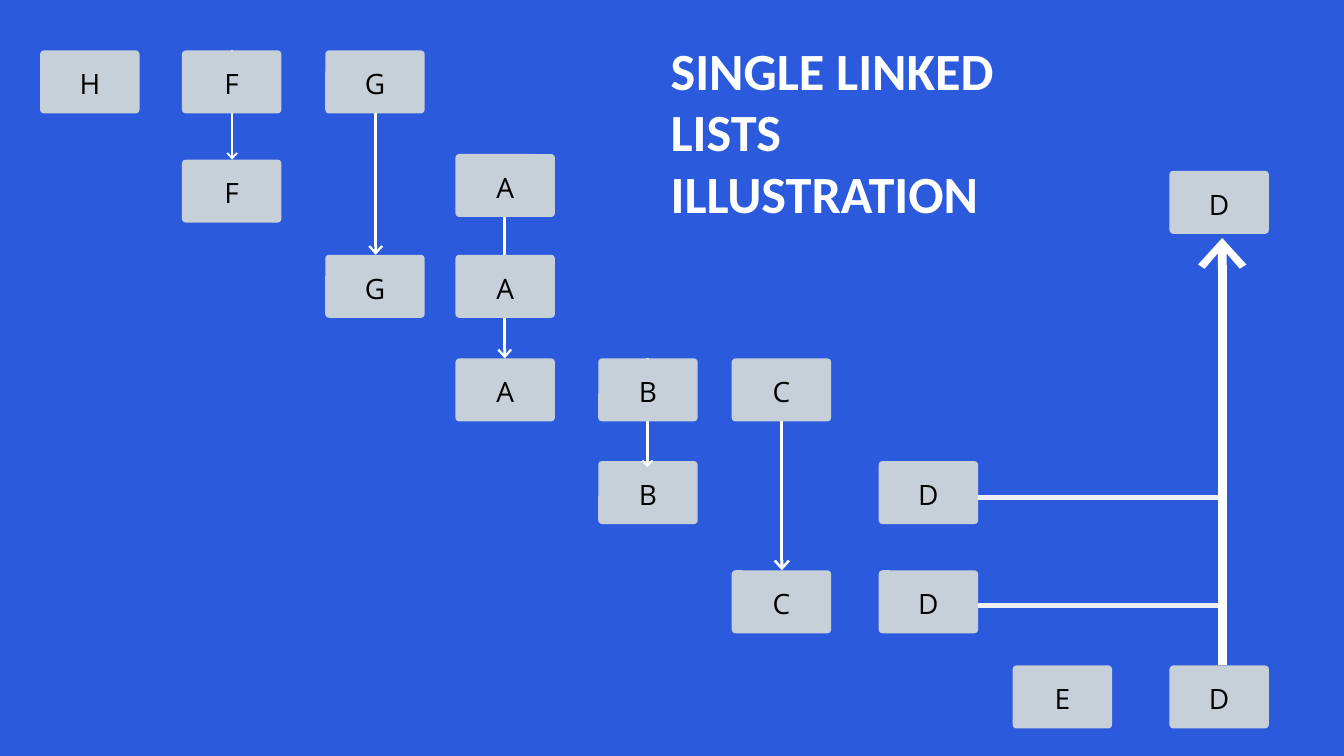
from lxml.etree import SubElement
from pptx import Presentation
from pptx.dml.color import RGBColor
from pptx.enum.shapes import MSO_CONNECTOR, MSO_SHAPE
from pptx.enum.text import MSO_ANCHOR, MSO_AUTO_SIZE, PP_ALIGN
from pptx.oxml.ns import qn
from pptx.util import Pt

TITLE = "SINGLE LINKED LISTS ILLUSTRATION"
COLORS = {
    "background": "2B5ADC",
    "node": "C7D0D8",
    "label": "000000",
    "arrow": "FFFFFF",
    "branch": "EFF0F2",
}
NODE_WIDTH, NODE_HEIGHT = 106.5, 67.5
COLUMNS = {"H": 43, "F": 195, "G": 348.5, "A": 488, "B": 641, "C": 784, "D": 941.5, "E": 1085, "tail": 1253}
ROWS = {"top": 54, "A": 165, "F": 171, "D": 183, "second": 273, "third": 384, "fourth": 494, "fifth": 611, "bottom": 713}
BACK_NODES = [
    ("H", "H", "top"), ("F", "F", "F"), ("G", "G", "top"), ("G", "G", "second"),
    ("A", "A", "A"), ("A", "A", "third"), ("B", "B", "fourth"),
    ("C", "C", "third"), ("C", "C", "fifth"), ("D", "D", "fourth"), ("D", "D", "fifth"),
    ("E", "E", "bottom"), ("D", "tail", "bottom"), ("D", "tail", "D"),
]
FRONT_NODES = [("F", "F", "top"), ("A", "A", "second"), ("B", "B", "third")]
RAIL_X = 1309.5
BRANCHES = [("D", "fourth", 533.25), ("D", "fifth", 648.5)]
ARROWS = [
    (248.75, 54, 171, 2.2),
    (402.5, 121.5, 273, 2.9),
    (540.75, 232.5, 384, 2.9),
    (693.75, 384, 500.5, 2.2),
    (837.75, 451.5, 611, 3.2),
    (RAIL_X, 713, 255, 9.4),
]


def rgb(name):
    return RGBColor.from_string(COLORS[name])


def add_text(para, text, font, size, color, spacing, bold=False):
    para.line_spacing = Pt(spacing)
    span = para.add_run()
    span.text = text
    span.font.name = font
    span.font.size = Pt(size)
    span.font.bold = bold
    span.font.color.rgb = rgb(color)


def add_node(page, label, column, row):
    box = page.shapes.add_shape(
        MSO_SHAPE.ROUNDED_RECTANGLE, Pt(COLUMNS[column]), Pt(ROWS[row]), Pt(NODE_WIDTH), Pt(NODE_HEIGHT)
    )
    box.adjustments[0] = 0.06
    box.shadow.inherit = False
    box.fill.solid()
    box.fill.fore_color.rgb = rgb("node")
    box.line.fill.background()
    frame = box.text_frame
    frame.margin_left = frame.margin_right = frame.margin_top = 0
    frame.margin_bottom = Pt(2.5)
    frame.vertical_anchor = MSO_ANCHOR.MIDDLE
    para = frame.paragraphs[0]
    para.alignment = PP_ALIGN.CENTER
    add_text(para, label, "Open Sans", 30, "label", 42)


def add_line(page, start, end, color, width, head=False):
    line = page.shapes.add_connector(MSO_CONNECTOR.STRAIGHT, *(Pt(value) for value in start + end))
    line.line.color.rgb = rgb(color)
    line.line.width = Pt(width)
    properties = line._element.spPr
    if head:
        stroke = properties.find(qn("a:ln"))
        SubElement(stroke, qn("a:round"))
        SubElement(stroke, qn("a:tailEnd"), type="arrow", w="lg", len="med")
    SubElement(properties, qn("a:effectLst"))


def add_title(page):
    box = page.shapes.title
    box.left, box.top, box.width, box.height = Pt(718.5), Pt(43), Pt(444), Pt(197)
    frame = box.text_frame
    frame.margin_left = frame.margin_right = frame.margin_top = frame.margin_bottom = 0
    frame.word_wrap = True
    frame.auto_size = MSO_AUTO_SIZE.NONE
    frame.vertical_anchor = MSO_ANCHOR.TOP
    para = frame.paragraphs[0]
    para.alignment = PP_ALIGN.LEFT
    add_text(para, TITLE, "Calibri", 56, "arrow", 65.5, bold=True)


def main():
    """Build the linked list slide and save it."""
    deck = Presentation()
    deck.slide_width, deck.slide_height = Pt(1440), Pt(810)
    page = deck.slides.add_slide(deck.slide_layouts[5])
    page.background.fill.solid()
    page.background.fill.fore_color.rgb = rgb("background")
    for node in BACK_NODES:
        add_node(page, *node)
    for column, row, y in BRANCHES:
        add_line(page, (COLUMNS[column] + NODE_WIDTH, y), (RAIL_X, y), "branch", 5)
    for x, start, end, width in ARROWS:
        add_line(page, (x, start), (x, end), "arrow", width, head=True)
    for node in FRONT_NODES:
        add_node(page, *node)
    add_title(page)
    deck.save("out.pptx")


if __name__ == "__main__":
    main()
